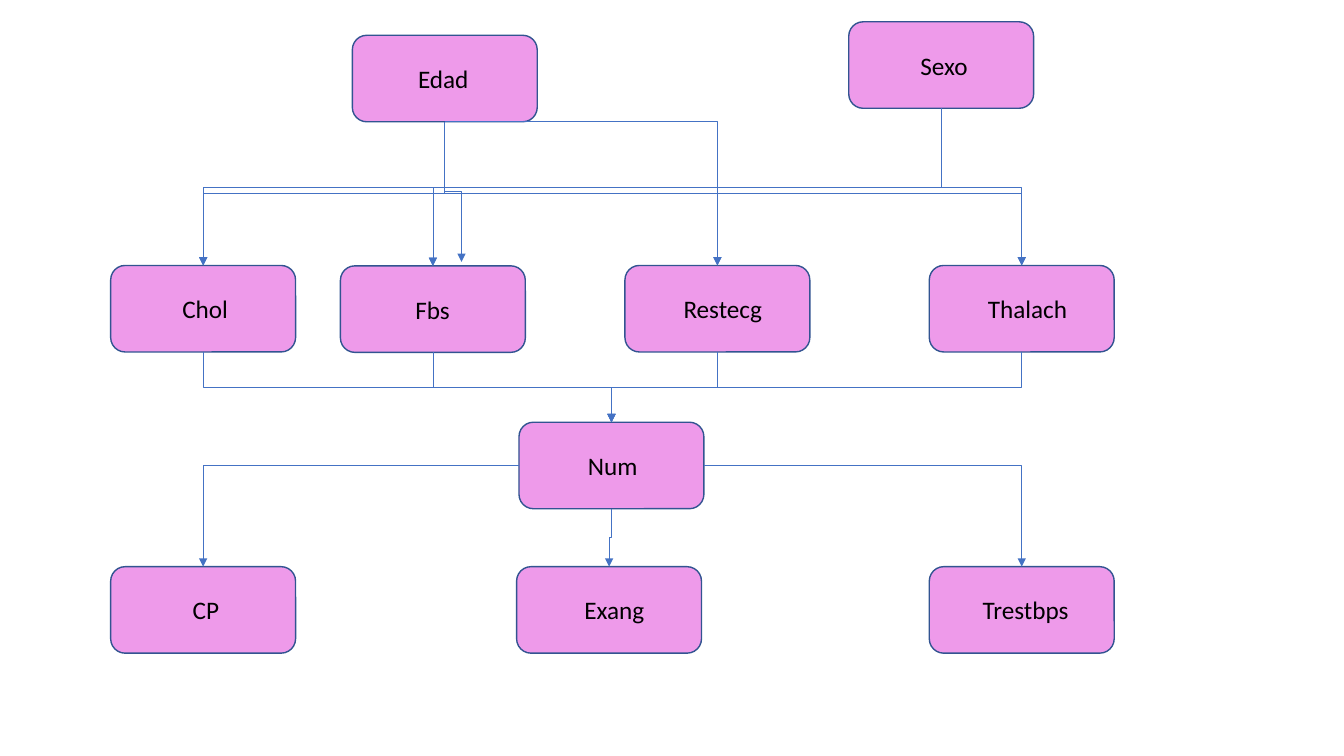
from lxml.etree import SubElement
from pptx import Presentation
from pptx.dml.color import RGBColor
from pptx.enum.shapes import MSO_CONNECTOR as Link, MSO_SHAPE as Shape
from pptx.enum.text import MSO_ANCHOR as Anchor, PP_ALIGN as Align
from pptx.oxml.ns import qn
from pptx.util import Cm, Pt

BOTTOM, LEFT, RIGHT, TOP = 2, 1, 3, 0


def color(value):
    return RGBColor.from_string(value)


def apply(target, values):
    for key, value in values.items():
        setattr(target, key, value)


class Diagram:
    node_size = Cm(4.66), Cm(2.18)
    font = {"name": "Calibri", "size": Pt(18)}
    fill, border, ink, arrow = "EE9AEA", "325491", "000000", "4472C4"

    def __init__(self, slide):
        self.shapes = slide.shapes

    def node(self, label, left, top, indent):
        node = self.shapes.add_shape(Shape.ROUNDED_RECTANGLE, Cm(left), Cm(top), *self.node_size)
        node.shadow.inherit = False
        node.fill.solid()
        node.fill.fore_color.rgb = color(self.fill)
        node.line.color.rgb = color(self.border)
        node.line.width = Pt(1)
        frame = node.text_frame
        apply(frame, {"word_wrap": True, "vertical_anchor": Anchor.MIDDLE,
                      "margin_left": Cm(indent), "margin_right": 0})
        paragraph = frame.paragraphs[0]
        paragraph.alignment = Align.LEFT
        run = paragraph.add_run()
        run.text = label
        apply(run.font, self.font)
        run.font.color.rgb = color(self.ink)
        return node

    def site(self, node, side):
        across = {LEFT: 0, RIGHT: node.width}.get(side, node.width // 2)
        down = {TOP: 0, BOTTOM: node.height}.get(side, node.height // 2)
        return node.left + across, node.top + down

    def elbow(self, source, target, side=BOTTOM, corner=False, tip=None):
        start = self.site(source, side)
        end = tip or self.site(target, TOP)
        link = self.shapes.add_connector(Link.ELBOW, *start, *end)
        if not (corner and side == BOTTOM):
            link.begin_connect(source, side)
        if not tip:
            link.end_connect(target, TOP)
        properties = link._element.spPr
        if corner:
            properties.find(qn("a:prstGeom")).set("prst", "bentConnector2")
        else:
            self.turn_down(link, start, end)
        link.line.color.rgb = color(self.arrow)
        link.line.width = Pt(0.5)
        SubElement(properties.find(qn("a:ln")), qn("a:tailEnd"), type="triangle")
        SubElement(properties, qn("a:effectLst"))

    def turn_down(self, link, start, end):
        shift, drop = end[0] - start[0], end[1] - start[1]
        apply(link, {"left": (start[0] + end[0] - drop) // 2,
                     "top": (start[1] + end[1] - abs(shift)) // 2,
                     "width": drop, "height": abs(shift)})
        frame = link._element.spPr.find(qn("a:xfrm"))
        frame.set("rot", str((270 if shift > 0 else 90) * 60000))
        frame.set("flipH", "1" if shift > 0 else "0")


deck = Presentation()
apply(deck, {"slide_width": Cm(33.87), "slide_height": Cm(19.05)})
diagram = Diagram(deck.slides.add_slide(deck.slide_layouts[6]))

edad = diagram.node("Edad", 8.88, 0.89, 1.55)
fbs = diagram.node("Fbs", 8.58, 6.7, 1.78)
restecg = diagram.node("Restecg", 15.75, 6.69, 1.37)
thalach = diagram.node("Thalach", 23.42, 6.69, 1.37)
sexo = diagram.node("Sexo", 21.39, 0.55, 1.7)
chol = diagram.node("Chol", 2.79, 6.69, 1.7)
num = diagram.node("Num", 13.08, 10.64, 1.63)
cp = diagram.node("CP", 2.79, 14.28, 1.96)
exang = diagram.node("Exang", 13.02, 14.28, 1.6)
trestbps = diagram.node("Trestbps", 23.42, 14.28, 1.24)

for measure in (fbs, chol, thalach):
    diagram.elbow(edad, measure)
diagram.elbow(edad, restecg, corner=True)
diagram.elbow(edad, fbs, tip=(Cm(11.63), Cm(6.6)))
for measure in (chol, fbs, restecg, thalach):
    diagram.elbow(sexo, measure)
    diagram.elbow(measure, num)
diagram.elbow(num, exang)
diagram.elbow(num, cp, side=LEFT, corner=True)
diagram.elbow(num, trestbps, side=RIGHT, corner=True)

deck.save("out.pptx")
